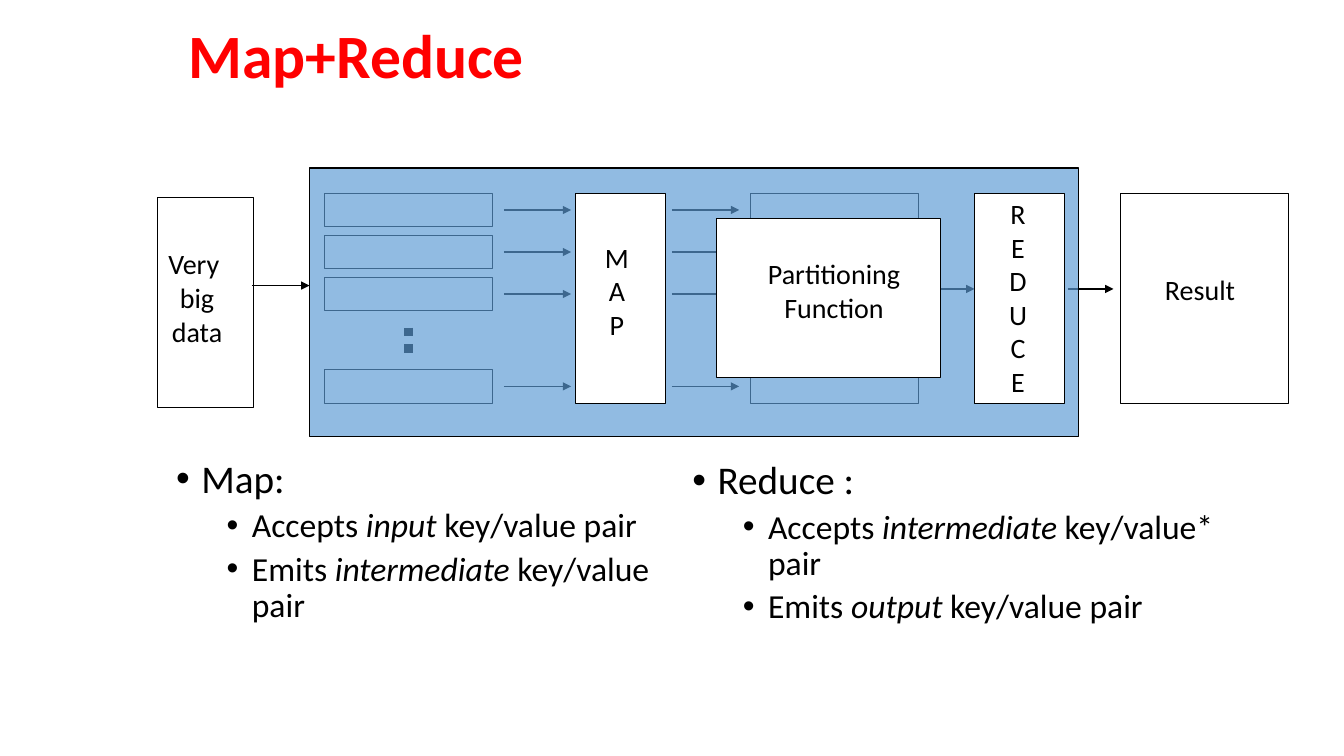
from dataclasses import dataclass

from lxml.etree import SubElement
from pptx import Presentation
from pptx.dml.color import RGBColor
from pptx.enum.dml import MSO_LINE
from pptx.enum.shapes import MSO_CONNECTOR, MSO_SHAPE
from pptx.enum.text import MSO_ANCHOR, MSO_AUTO_SIZE, PP_ALIGN
from pptx.oxml.ns import qn
from pptx.util import Inches, Pt


@dataclass(frozen=True)
class Theme:
    font: str = "Calibri"
    title_color: str = "FF0000"
    ink: str = "000000"
    paper: str = "FFFFFF"
    panel: str = "5B9BD5"
    title_size: int = 44
    heading_size: int = 28
    point_size: int = 24
    label_size: int = 20
    outline: float = 0.75
    arrow: float = 1
    dots: float = 6


class Diagram:
    """Places elements on a grid of 160 columns by 90 rows."""

    COLUMNS, ROWS = 160, 90

    def __init__(self, deck, theme):
        self.theme = theme
        self.slide = deck.slides.add_slide(deck.slide_layouts[6])
        self.column = deck.slide_width / self.COLUMNS
        self.row = deck.slide_height / self.ROWS

    def place(self, x, y, *rest):
        """Turn alternating columns and rows into lengths."""
        units = (self.column, self.row)
        return [round(v * units[i % 2]) for i, v in enumerate((x, y, *rest))]

    def style(self, paragraph, size, color=None, bold=None):
        font = paragraph.font
        font.name, font.size, font.bold = self.theme.font, Pt(size), bold
        font.color.rgb = RGBColor.from_string(color or self.theme.ink)

    def text_frame(self, area, wrap=True):
        frame = self.slide.shapes.add_textbox(*self.place(*area)).text_frame
        frame.word_wrap = wrap
        return frame

    def title(self, area, text):
        frame = self.text_frame(area)
        frame.vertical_anchor = MSO_ANCHOR.MIDDLE
        frame.text = text
        frame.paragraphs[0].line_spacing = 0.9
        self.style(frame.paragraphs[0], self.theme.title_size, self.theme.title_color, True)

    def label(self, area, lines):
        frame = self.text_frame(area, wrap=False)
        frame.auto_size = MSO_AUTO_SIZE.SHAPE_TO_FIT_TEXT
        frame.text = "\n".join(lines)
        for paragraph in frame.paragraphs:
            paragraph.alignment = PP_ALIGN.CENTER
            self.style(paragraph, self.theme.label_size)

    def bullet(self, paragraph, parts, size, margin, space):
        """Write parts as runs, every second one in italics."""
        paragraph.line_spacing, paragraph.space_before = 0.9, Pt(space)
        properties = paragraph._p.get_or_add_pPr()
        properties.set("marL", str(Inches(margin)))
        properties.set("indent", str(Inches(-0.25)))
        SubElement(properties, qn("a:buFont"), typeface="Arial")
        SubElement(properties, qn("a:buChar"), char="•")
        self.style(paragraph, size)
        for i, part in enumerate(parts):
            run = paragraph.add_run()
            run.text = part
            if i % 2:
                run.font.italic = True

    def bullets(self, area, heading, points):
        frame = self.text_frame(area)
        self.bullet(frame.paragraphs[0], [heading], self.theme.heading_size, 0.25, 10)
        for parts in points:
            paragraph = frame.add_paragraph()
            paragraph.level = 1
            self.bullet(paragraph, parts, self.theme.point_size, 0.75, 5)

    def box(self, area, fill=None, opacity=None):
        box = self.slide.shapes.add_shape(MSO_SHAPE.RECTANGLE, *self.place(*area))
        box.shadow.inherit = False
        box.fill.solid()
        box.fill.fore_color.rgb = RGBColor.from_string(fill or self.theme.paper)
        box.line.color.rgb = RGBColor.from_string(self.theme.ink)
        box.line.width = Pt(self.theme.outline)
        if opacity:
            color = box._element.spPr.find(qn("a:solidFill"))[0]
            SubElement(color, qn("a:alpha"), val=str(opacity * 1000))

    def line(self, ends, width):
        line = self.slide.shapes.add_connector(MSO_CONNECTOR.STRAIGHT, *self.place(*ends))
        line.line.color.rgb = RGBColor.from_string(self.theme.ink)
        line.line.width = Pt(width)
        SubElement(line._element.spPr, qn("a:effectLst"))
        return line

    def arrow(self, x, y, length):
        arrow = self.line((x, y, x + length, y), self.theme.arrow)
        SubElement(arrow.line._get_or_add_ln(), qn("a:tailEnd"), type="triangle")

    def dots(self, x, top, bottom):
        self.line((x, top, x, bottom), self.theme.dots).line.dash_style = MSO_LINE.ROUND_DOT


def main():
    deck = Presentation()
    deck.slide_width, deck.slide_height = Inches(13.33), Inches(7.5)
    theme = Theme()
    diagram = Diagram(deck, theme)

    # Title and explanations
    diagram.title((21.25, 1.5, 119, 11), "Map+Reduce")
    diagram.bullets((19.8, 54.1, 58.8, 28), "Map:", [
        ("Accepts ", "input", " key/value pair"),
        ("Emits ", "intermediate", " key/value pair"),
    ])
    diagram.bullets((81.25, 54.25, 70.7, 27.7), "Reduce :", [
        ("Accepts ", "intermediate", " key/value* pair"),
        ("Emits ", "output", " key/value pair"),
    ])

    # Data chunks before and after mapping
    stage_top, stage_height = 23, 25
    chunk_rows = (23, 28, 33, 44)
    chunk_width, chunk_height = 20, 4
    input_x, output_x = 38.65, 89.3
    diagram.box((18.75, 23.5, 11.4, stage_height))
    for y in chunk_rows:
        diagram.box((input_x, y, chunk_width, chunk_height))
    diagram.dots(input_x + chunk_width / 2, 39, 42)
    for y in (chunk_rows[0], chunk_rows[-1]):
        diagram.box((output_x, y, chunk_width, chunk_height))

    # Flow arrows
    diagram.arrow(30, 34, 6.85)
    for x in (60, 80):
        for y in chunk_rows:
            diagram.arrow(x, y + chunk_height / 2, 8)
    for x in (110.65, 127.2):
        diagram.arrow(x, 34.4, 5.35)

    # Result, translucent panel and the two stages on it
    diagram.box((133.35, stage_top, 20, stage_height))
    diagram.box((36.85, 20, 91.6, 32), theme.panel, opacity=67)
    for x in (68.5, 116):
        diagram.box((x, stage_top, 10.7, stage_height))

    # Labels
    diagram.label((18.75, 28.8, 9.4, 13.3), ["Very ", "big", "data"])
    diagram.label((137.4, 31.8, 10.9, 5.3), ["Result"])
    diagram.label((70.8, 28, 5.3, 13.3), "MAP")
    diagram.label((118.9, 22.8, 4.6, 25.4), "REDUCE")

    # Partitioning function
    diagram.box((85.35, 26, 26.65, 19))
    diagram.label((90.1, 30, 18.4, 9.2), ["Partitioning", "Function"])

    deck.save("out.pptx")


if __name__ == "__main__":
    main()
